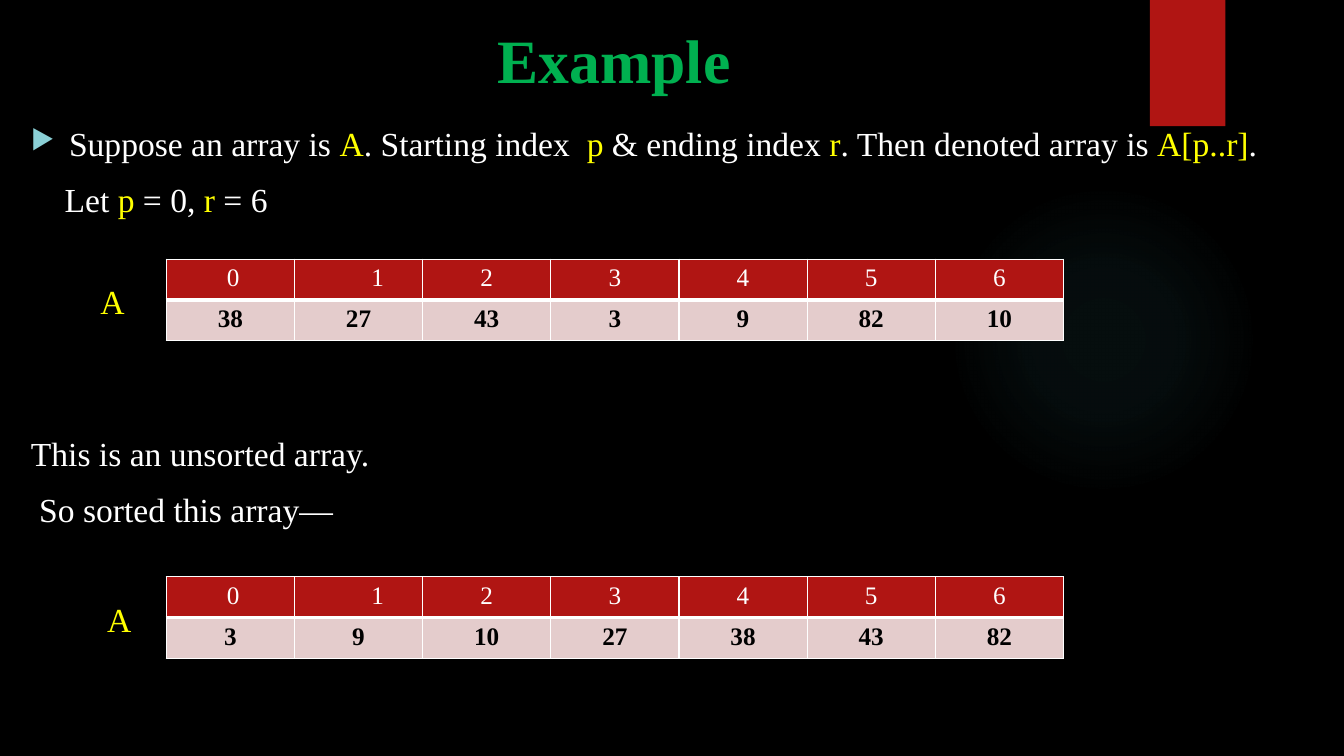
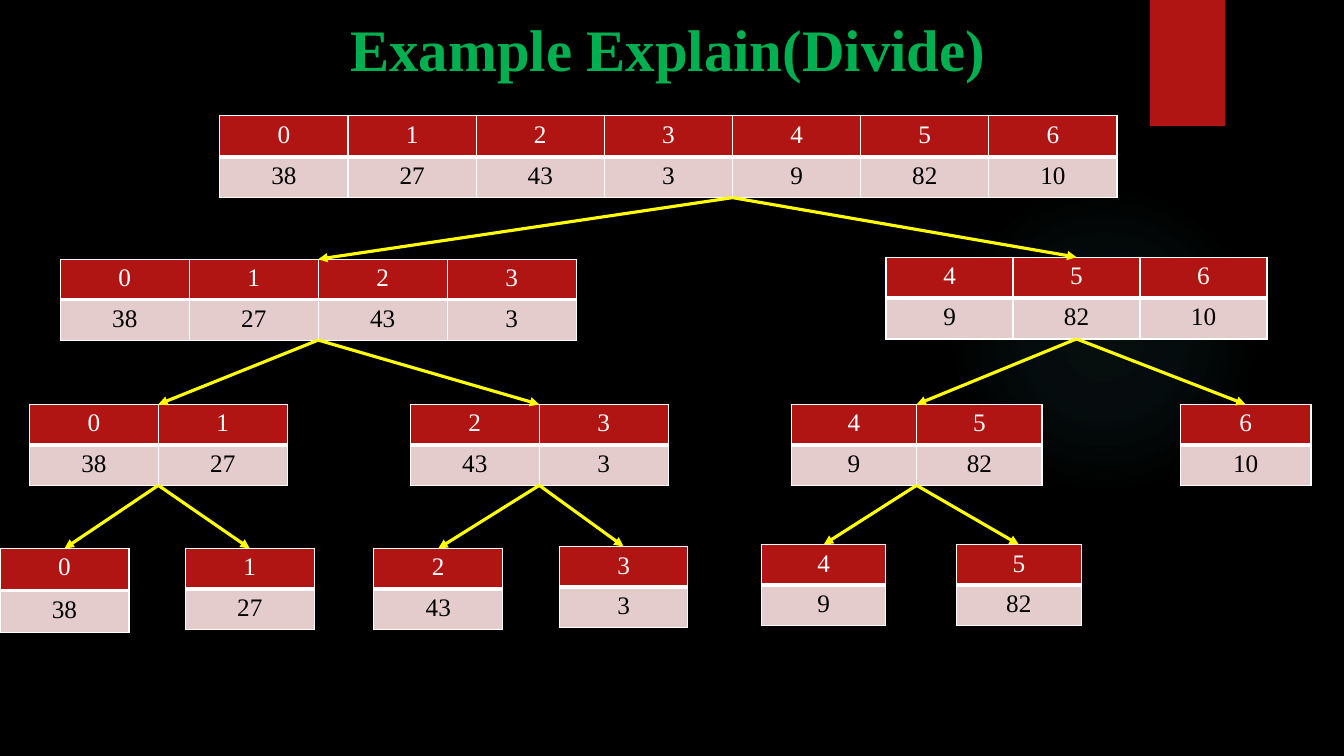
from dataclasses import dataclass
from typing import Optional

from lxml import etree
from pptx import Presentation
from pptx.dml.color import RGBColor
from pptx.enum.shapes import MSO_CONNECTOR, MSO_SHAPE
from pptx.enum.text import MSO_ANCHOR, MSO_AUTO_SIZE, PP_ALIGN
from pptx.oxml import parse_xml
from pptx.oxml.ns import nsdecls, qn
from pptx.util import Cm, Pt

CENTER, LEFT = PP_ALIGN.CENTER, PP_ALIGN.LEFT
MIDDLE, TOP = MSO_ANCHOR.MIDDLE, MSO_ANCHOR.TOP
NO_FIT = MSO_AUTO_SIZE.NONE
RECT, OVAL = MSO_SHAPE.RECTANGLE, MSO_SHAPE.OVAL
STRAIGHT = MSO_CONNECTOR.STRAIGHT
SITE_TOP, SITE_BOTTOM = 0, 2


@dataclass(frozen=True)
class Theme:
    font: str = "Times New Roman"
    back: str = "000000"
    text: str = "FFFFFF"
    title: str = "00B050"
    accent: str = "B01513"
    mark: str = "FFFF00"
    glow: str = "50B9C1"
    bullet: str = "8AD0D6"
    value_fill: str = "E4CCCC"
    value_text: str = "000000"
    title_size: float = 44
    long_title_size: float = 42
    body_size: float = 24
    cell_size: float = 18
    thin: float = 1
    thick: float = 3
    arrow: float = 2.25


@dataclass(frozen=True)
class Line:
    """A paragraph; text between bars is highlighted."""
    text: str
    before: float = 0
    margin: float = 0
    bullet: bool = False


@dataclass(frozen=True)
class Node:
    """A part of the array, array[lo:hi], and the parts it divides into."""
    lo: int
    hi: int
    left: float
    top: float
    col: float
    row: float = 1.02
    split: Optional[int] = None  # column after which arrows start, else the middle
    children: tuple["Node", ...] = ()


T = Theme()
ARRAY = [38, 27, 43, 3, 9, 82, 10]

LINES = (
    Line("Suppose an array is |A|. Starting index  |p| & ending index |r|. "
         "Then denoted array is |A[p..r]|.", margin=0.96, bullet=True),
    Line("Let |p| = 0, |r| = 6", 11, 0.85),
    Line("|A|", 44.5, 1.75),
    Line("This is an unsorted array.", 79.5),
    Line("So sorted this array—", 11, 0.21),
    Line("|A|", 50, 1.92),
)

TREE = Node(0, 7, 5.54, 2.92, 3.23, 1.03, split=4, children=(
    Node(0, 4, 1.52, 6.53, 3.25, children=(
        Node(0, 2, 0.74, 10.19, 3.25, children=(
            Node(0, 1, 0, 13.82, 3.25, 1.06),
            Node(1, 2, 4.67, 13.82, 3.25))),
        Node(2, 4, 10.34, 10.19, 3.25, children=(
            Node(2, 3, 9.42, 13.82, 3.25),
            Node(3, 4, 14.1, 13.77, 3.23))))),
    Node(4, 7, 22.33, 6.48, 3.2, 1.03, children=(
        Node(4, 6, 19.94, 10.19, 3.16, children=(
            Node(4, 5, 19.2, 13.72, 3.12),
            Node(5, 6, 24.1, 13.72, 3.15))),
        Node(6, 7, 29.74, 10.19, 3.3))),
))


def rgb(color: str) -> RGBColor:
    return RGBColor.from_string(color)


def add_run(p, text: str, *, size: float, color: str = T.text, bold: bool = False) -> None:
    r = p.add_run()
    r.text = text
    r.font.name, r.font.size, r.font.bold = T.font, Pt(size), bold
    r.font.color.rgb = rgb(color)


# Shared backdrop, held by the layout
def add_backdrop(slide, layout) -> None:
    layout.background.fill.solid()
    layout.background.fill.fore_color.rgb = rgb(T.back)

    glow = slide.shapes.add_shape(OVAL, Cm(23.9), Cm(4.65), Cm(7.82), Cm(7.82))
    glow.fill.background()
    stops = "".join(
        f'<a:gs pos="{pos}000"><a:srgbClr val="{T.glow}"><a:alpha val="{alpha}000"/>'
        f'</a:srgbClr></a:gs>' for pos, alpha in ((0, 7), (36, 6), (69, 0), (100, 0)))
    gradient = parse_xml(
        f'<a:gradFill {nsdecls("a")} rotWithShape="1"><a:gsLst>{stops}</a:gsLst>'
        '<a:path path="circle"><a:fillToRect l="50000" t="50000" r="50000" b="50000"/>'
        '</a:path></a:gradFill>')
    sp_pr = glow.element.spPr
    sp_pr.replace(sp_pr.find(qn("a:noFill")), gradient)

    tab = slide.shapes.add_shape(RECT, Cm(28.98), Cm(0), Cm(1.9), Cm(3.18))
    tab.fill.solid()
    tab.fill.fore_color.rgb = rgb(T.accent)

    for sp in (glow, tab):
        sp.line.fill.background()
        sp.shadow.inherit = False
        layout.shapes.element.append(sp.element)


def set_title(slide, text: str, left: float, top: float, width: float, size: float) -> None:
    sp = slide.shapes.title
    sp.left, sp.top, sp.width, sp.height = Cm(left), Cm(top), Cm(width), Cm(2.3)
    tf = sp.text_frame
    tf.auto_size, tf.vertical_anchor, tf.word_wrap = NO_FIT, MIDDLE, True
    p = tf.paragraphs[0]
    p.alignment = CENTER
    add_run(p, text, size=size, color=T.title, bold=True)


# Body text
def add_bullet(p) -> None:
    p_pr = p._p.get_or_add_pPr()
    p_pr.set("indent", str(-int(p_pr.get("marL"))))
    color = etree.SubElement(p_pr, qn("a:buClr"))
    etree.SubElement(color, qn("a:srgbClr"), val=T.bullet)
    etree.SubElement(p_pr, qn("a:buSzPct"), val="80000")
    etree.SubElement(p_pr, qn("a:buChar"), char="▶")


def add_body(slide, lines: tuple[Line, ...]) -> None:
    tf = slide.shapes.add_textbox(Cm(0.53), Cm(2.97), Cm(31.6), Cm(15)).text_frame
    tf.word_wrap, tf.vertical_anchor = True, TOP
    for i, line in enumerate(lines):
        p = tf.add_paragraph() if i else tf.paragraphs[0]
        p.alignment, p.space_before = LEFT, Pt(line.before)
        p._p.get_or_add_pPr().set("marL", str(Cm(line.margin)))
        if line.bullet:
            add_bullet(p)
        for j, part in enumerate(line.text.split("|")):
            if part:
                add_run(p, part, size=T.body_size, color=T.mark if j % 2 else T.text)


# Array tables: indices above values
def set_borders(cell, **widths: float) -> None:
    tc_pr = cell._tc.get_or_add_tcPr()
    for side in "LRTB":
        ln = etree.SubElement(tc_pr, qn(f"a:ln{side}"), w=str(Pt(widths.get(side, T.thin))))
        fill = etree.SubElement(ln, qn("a:solidFill"))
        etree.SubElement(fill, qn("a:srgbClr"), val=T.text)


def fill_cell(cell, text: str, *, header: bool, bold: bool) -> None:
    set_borders(cell, **{"B" if header else "T": T.thick})
    cell.fill.solid()
    cell.fill.fore_color.rgb = rgb(T.accent if header else T.value_fill)
    p = cell.text_frame.paragraphs[0]
    p.alignment = CENTER
    add_run(p, text, size=T.cell_size, bold=bold,
            color=T.text if header else T.value_text)


def add_array(slide, values: list[int], left: float, top: float, col: float,
              row: float = 1.03, first: int = 0, bold: bool = False):
    n = len(values)
    frame = slide.shapes.add_table(2, n, Cm(left), Cm(top), Cm(col * n), Cm(2 * row))
    for i, value in enumerate(values):
        fill_cell(frame.table.cell(0, i), str(first + i), header=True, bold=False)
        fill_cell(frame.table.cell(1, i), str(value), header=False, bold=bold)
    return frame


# Division tree
def add_arrow(slide, parent, child, start_x: Optional[int]) -> None:
    x = parent.left + parent.width // 2 if start_x is None else start_x
    cxn = slide.shapes.add_connector(STRAIGHT, x, parent.top + parent.height,
                                     child.left + child.width // 2, child.top)
    if start_x is None:
        cxn.begin_connect(parent, SITE_BOTTOM)
    cxn.end_connect(child, SITE_TOP)
    cxn.line.color.rgb = rgb(T.mark)
    cxn.line.width = Pt(T.arrow)
    sp_pr = cxn.element.spPr
    etree.SubElement(sp_pr.find(qn("a:ln")), qn("a:tailEnd"), type="triangle")
    etree.SubElement(sp_pr, qn("a:effectLst"))


def add_tree(slide, node: Node):
    frame = add_array(slide, ARRAY[node.lo:node.hi], node.left, node.top,
                      node.col, node.row, node.lo)
    start_x = None if node.split is None else Cm(node.left + node.split * node.col)
    for child in node.children:
        add_arrow(slide, frame, add_tree(slide, child), start_x)
    return frame


def example_slide(slide) -> None:
    set_title(slide, "Example", 2.69, 0.33, 25.58, T.title_size)
    add_body(slide, LINES)
    for values, top in ((ARRAY, 6.53), (sorted(ARRAY), 14.53)):
        table = add_array(slide, values, 4.19, top, 3.23, bold=True).table
        # The first two indices sit right of centre
        for i, shift in enumerate((0.15, 0.97)):
            table.cell(0, i).margin_left = Cm(0.25 + shift)


def divide_slide(slide) -> None:
    set_title(slide, "Example Explain(Divide)", 1.93, 0.05, 29.8, T.long_title_size)
    add_tree(slide, TREE)


def main() -> None:
    prs = Presentation()
    prs.slide_width, prs.slide_height = Cm(33.87), Cm(19.05)
    layout = prs.slide_layouts[5]
    slides = [prs.slides.add_slide(layout) for _ in range(2)]
    add_backdrop(slides[0], layout)
    example_slide(slides[0])
    divide_slide(slides[1])
    prs.save("out.pptx")


if __name__ == "__main__":
    main()
